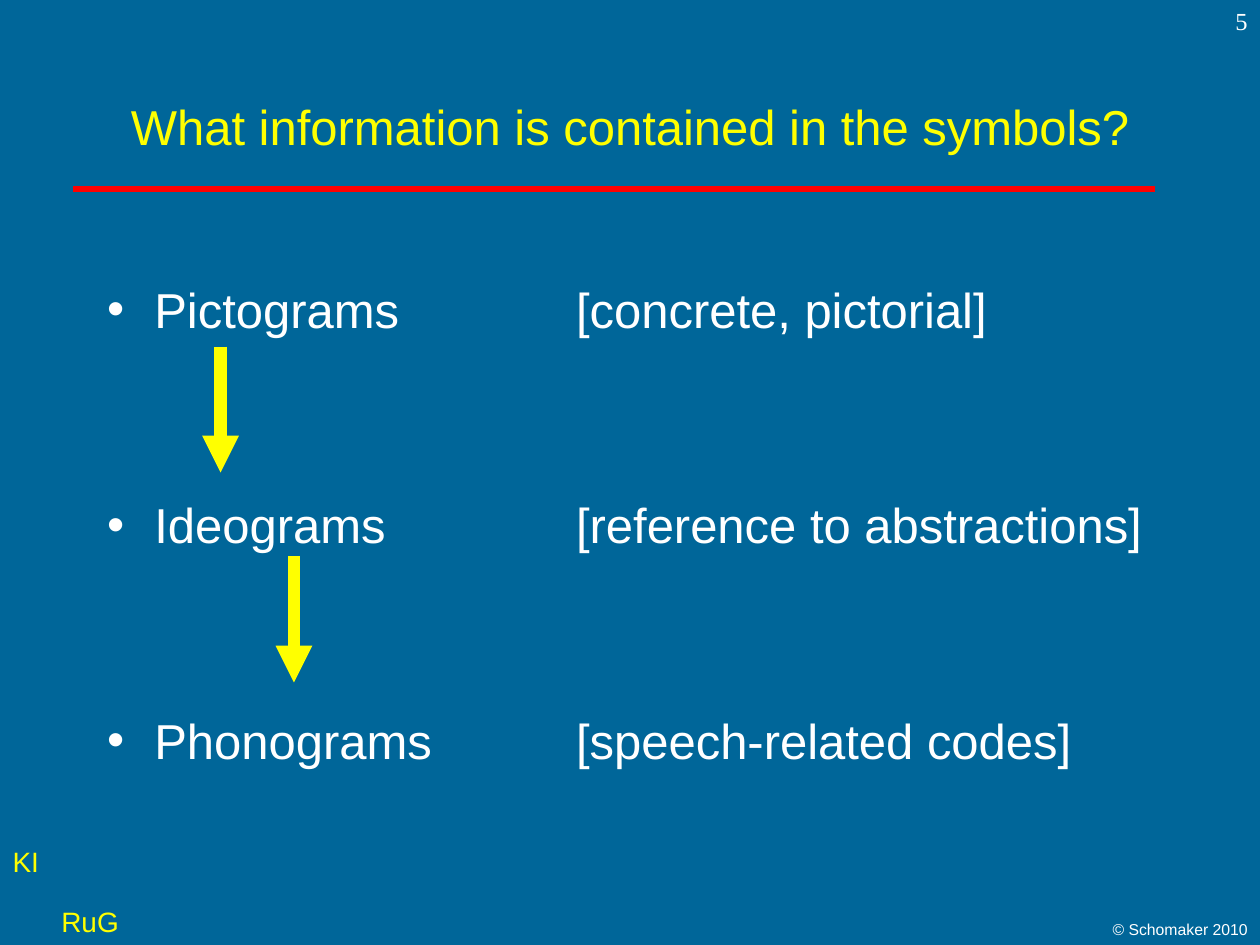
from dataclasses import dataclass

from lxml import etree
from pptx import Presentation
from pptx.dml.color import RGBColor
from pptx.enum.shapes import MSO_CONNECTOR
from pptx.enum.text import MSO_ANCHOR, MSO_AUTO_SIZE, PP_ALIGN
from pptx.oxml.ns import qn
from pptx.util import Pt

STRAIGHT = MSO_CONNECTOR.STRAIGHT
TOP, MIDDLE = MSO_ANCHOR.TOP, MSO_ANCHOR.MIDDLE
FIXED = MSO_AUTO_SIZE.NONE
LEFT, CENTER, RIGHT = PP_ALIGN.LEFT, PP_ALIGN.CENTER, PP_ALIGN.RIGHT


@dataclass(frozen=True)
class Theme:
    background: str = "006699"
    accent: str = "FFFF00"
    text: str = "FFFFFF"
    rule: str = "FF0000"
    sans: str = "Arial"
    serif: str = "Times New Roman"
    main_size: float = 28
    label_size: float = 16
    number_size: float = 14
    credit_size: float = 9


@dataclass(frozen=True)
class Box:
    left: float
    top: float
    width: float
    height: float


@dataclass(frozen=True)
class Label:
    text: str
    box: Box
    size: float
    color: str
    font: str
    align: PP_ALIGN
    wrap: bool = True


@dataclass(frozen=True)
class Stroke:
    start: tuple[float, float]
    end: tuple[float, float]
    color: str
    width: float
    arrow: bool = False


@dataclass(frozen=True)
class SymbolKind:
    name: str
    meaning: str


THEME = Theme()
TITLE_BOX = Box(54, 48, 612, 48)
BODY_BOX = Box(54, 156, 612, 324)
HANGING = 27
MEANING_TAB = 268
ROW_GAP = 89.5

KINDS = [
    SymbolKind("Pictograms", "[concrete, pictorial]"),
    SymbolKind("Ideograms", "[reference to abstractions]"),
    SymbolKind("Phonograms", "[speech-related codes]"),
]
LABELS = [
    Label("KI", Box(0, 479, 29.5, 26.5), THEME.label_size, THEME.accent, THEME.sans, CENTER, False),
    Label("RuG", Box(28, 513.5, 47, 26.5), THEME.label_size, THEME.accent, THEME.sans, CENTER, False),
    Label("© Schomaker 2010", Box(552, 522, 168, 18), THEME.credit_size, THEME.text, THEME.sans, RIGHT),
    Label("5", Box(570, 0, 150, 36), THEME.number_size, THEME.text, THEME.serif, RIGHT),
]
STROKES = [
    Stroke((42, 108), (660, 108), THEME.rule, 3),
    Stroke((126, 198), (126, 270), THEME.accent, 7, True),
    Stroke((168, 318), (168, 390), THEME.accent, 7, True),
]


def write(paragraph, text: str, *, size: float, color: str, font: str = THEME.sans,
          align: PP_ALIGN = LEFT) -> None:
    paragraph.alignment = align
    run = paragraph.add_run()
    run.text = text
    run.font.size = Pt(size)
    run.font.name = font
    run.font.color.rgb = RGBColor.from_string(color)


def place(shape, box: Box, anchor: MSO_ANCHOR) -> None:
    shape.left, shape.top = Pt(box.left), Pt(box.top)
    shape.width, shape.height = Pt(box.width), Pt(box.height)
    shape.text_frame.auto_size = FIXED
    shape.text_frame.vertical_anchor = anchor


def add_label(slide, label: Label) -> None:
    box = label.box
    frame = slide.shapes.add_textbox(Pt(box.left), Pt(box.top), Pt(box.width), Pt(box.height)).text_frame
    frame.word_wrap = label.wrap
    write(frame.paragraphs[0], label.text, size=label.size, color=label.color,
          font=label.font, align=label.align)


def add_stroke(slide, stroke: Stroke) -> None:
    ends = [Pt(value) for value in (*stroke.start, *stroke.end)]
    connector = slide.shapes.add_connector(STRAIGHT, *ends)
    connector.line.color.rgb = RGBColor.from_string(stroke.color)
    connector.line.width = Pt(stroke.width)
    properties = connector._element.spPr
    if stroke.arrow:
        etree.SubElement(properties.find(qn("a:ln")), qn("a:tailEnd"), type="triangle")
    etree.SubElement(properties, qn("a:effectLst"))


def format_bullet(paragraph) -> None:
    properties = paragraph._p.get_or_add_pPr()
    properties.set("marL", str(Pt(HANGING)))
    properties.set("indent", str(-Pt(HANGING)))
    bullet_color = etree.SubElement(properties, qn("a:buClr"))
    etree.SubElement(bullet_color, qn("a:srgbClr"), val=THEME.text)
    etree.SubElement(properties, qn("a:buChar"), char="•")
    tabs = etree.SubElement(properties, qn("a:tabLst"))
    etree.SubElement(tabs, qn("a:tab"), pos=str(Pt(MEANING_TAB)), algn="l")


def add_kinds(body, kinds: list[SymbolKind]) -> None:
    frame = body.text_frame
    for index, kind in enumerate(kinds):
        paragraph = frame.add_paragraph() if index else frame.paragraphs[0]
        format_bullet(paragraph)
        paragraph.space_before = Pt(ROW_GAP if index else 0)
        write(paragraph, f"{kind.name}\t{kind.meaning}", size=THEME.main_size, color=THEME.text)


def main() -> None:
    deck = Presentation()
    deck.slide_width, deck.slide_height = Pt(720), Pt(540)
    slide = deck.slides.add_slide(deck.slide_layouts[1])
    slide.background.fill.solid()
    slide.background.fill.fore_color.rgb = RGBColor.from_string(THEME.background)

    title, body = slide.placeholders
    place(title, TITLE_BOX, MIDDLE)
    write(title.text_frame.paragraphs[0], "What information is contained in the symbols?",
          size=THEME.main_size, color=THEME.accent, align=CENTER)
    place(body, BODY_BOX, TOP)
    add_kinds(body, KINDS)

    for label in LABELS:
        add_label(slide, label)
    for stroke in STROKES:
        add_stroke(slide, stroke)
    deck.save("out.pptx")


if __name__ == "__main__":
    main()
